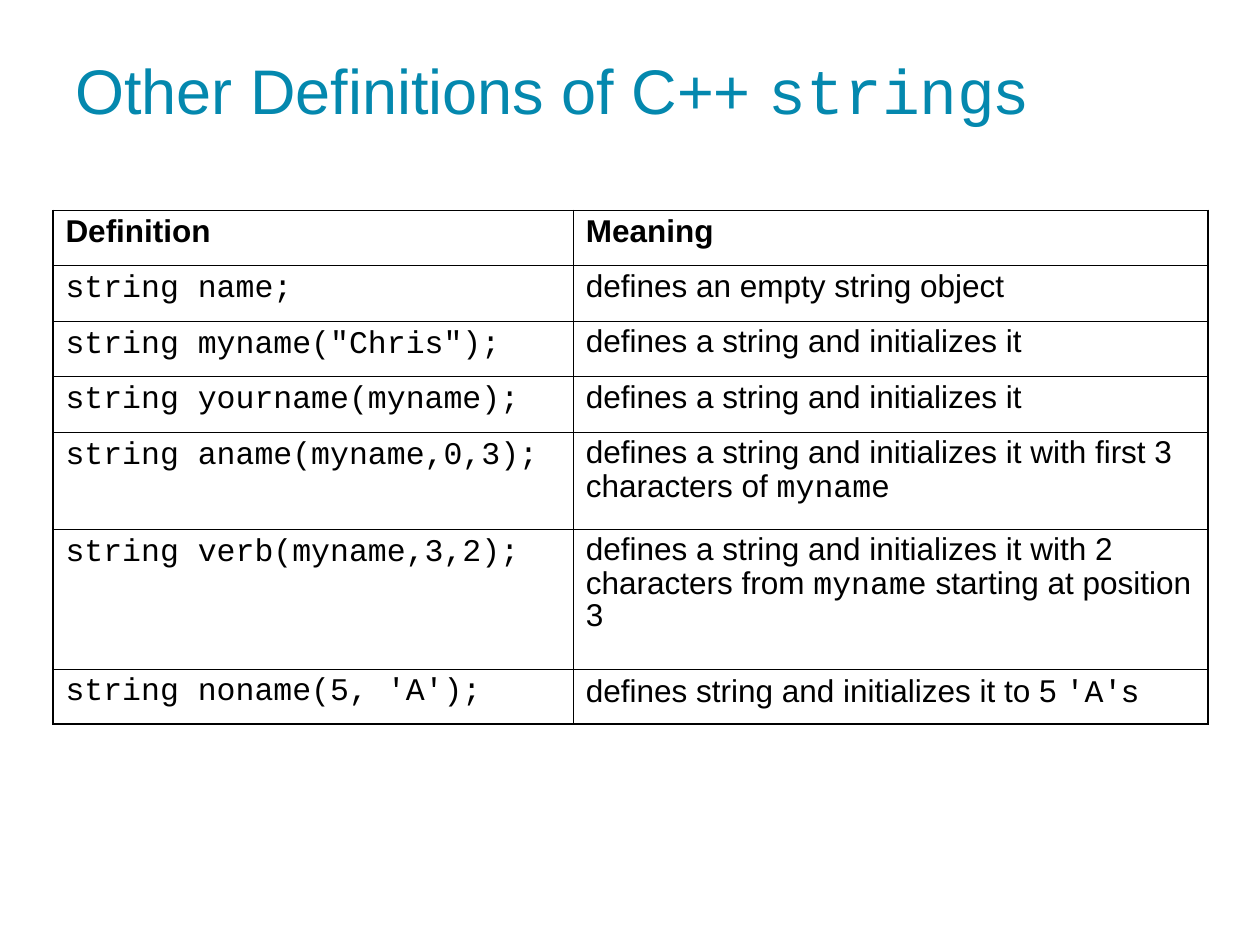
"""Build a slide with a table of C++ string definitions."""
from dataclasses import dataclass

from lxml import etree
from pptx import Presentation
from pptx import util as u
from pptx.dml.color import RGBColor
from pptx.enum import text
from pptx.oxml import ns


@dataclass(frozen=True)
class Theme:
    """Colours, fonts and sizes of the slide."""
    title_color: str = "0488AE"
    ink: str = "000000"
    body_font: str = "Arial"
    code_font: str = "Courier New"
    title_size: float = 36
    table_size: float = 18
    outer_line: float = 1.08
    inner_line: float = 0.45


class SlideBuilder:
    """Draws elements on one slide; backticks in text mark code."""

    def __init__(self, slide, theme):
        self.slide = slide
        self.theme = theme

    def add_runs(self, paragraph, content, size, color, bold=False):
        for index, part in enumerate(content.split("`")):
            if not part:
                continue
            run = paragraph.add_run()
            run.text = part
            run.font.name = self.theme.code_font if index % 2 else self.theme.body_font
            run.font.size = u.Pt(size)
            run.font.bold = bold
            run.font.color.rgb = RGBColor.from_string(color)

    def add_title(self, content, left, top, width, height):
        box = self.slide.shapes.add_textbox(
            u.Inches(left), u.Inches(top), u.Inches(width), u.Inches(height))
        frame = box.text_frame
        frame.word_wrap = True
        frame.vertical_anchor = text.MSO_ANCHOR.MIDDLE
        self.add_runs(frame.paragraphs[0], content, self.theme.title_size, self.theme.title_color)

    def add_border(self, cell, side, width):
        properties = cell._tc.get_or_add_tcPr()
        line = etree.SubElement(properties, ns.qn(f"a:ln{side}"), w=str(u.Pt(width)))
        fill = etree.SubElement(line, ns.qn("a:solidFill"))
        etree.SubElement(fill, ns.qn("a:srgbClr"), val=self.theme.ink)

    def add_table(self, rows, left, top, widths, heights):
        frame = self.slide.shapes.add_table(
            len(rows), len(widths), u.Inches(left), u.Inches(top),
            u.Inches(sum(widths)), u.Inches(sum(heights)))
        table = frame.table
        table.first_row = table.horz_banding = False
        for column, width in zip(table.columns, widths):
            column.width = u.Inches(width)
        for row, height in zip(table.rows, heights):
            row.height = u.Inches(height)
        last_row, last_column = len(rows) - 1, len(widths) - 1
        for r, row in enumerate(rows):
            for c, content in enumerate(row):
                cell = table.cell(r, c)
                outer = {"L": c == 0, "R": c == last_column, "T": r == 0, "B": r == last_row}
                for side, is_outer in outer.items():
                    self.add_border(
                        cell, side, self.theme.outer_line if is_outer else self.theme.inner_line)
                cell.fill.background()
                paragraph = cell.text_frame.paragraphs[0]
                paragraph.line_spacing = 0.9
                self.add_runs(paragraph, content, self.theme.table_size, self.theme.ink, bold=r == 0)


ROWS = [
    ("Definition", "Meaning"),
    ("`string name;`", "defines an empty string object"),
    ("`string myname(\"Chris\");`", "defines a string and initializes it"),
    ("`string yourname(myname);`", "defines a string and initializes it"),
    ("`string aname(myname,0,3);`",
     "defines a string and initializes it with first 3 characters of `myname`"),
    ("`string verb(myname,3,2);`",
     "defines a string and initializes it with 2 characters from `myname` starting at position 3"),
    ("`string noname(5, 'A');`", "defines string and initializes it to 5 `'A'`s"),
]


def main():
    presentation = Presentation()
    presentation.slide_width = u.Inches(10)
    presentation.slide_height = u.Inches(7.5)
    slide = presentation.slides.add_slide(presentation.slide_layouts[6])
    builder = SlideBuilder(slide, Theme())
    builder.add_title("Other Definitions of C++ `string`s", 0.5, 0.08, 8.33, 1.25)
    builder.add_table(ROWS, 0.42, 1.67, [4.13, 5.04], [0.44] * 4 + [0.77, 1.11, 0.44])
    presentation.save("out.pptx")


if __name__ == "__main__":
    main()
